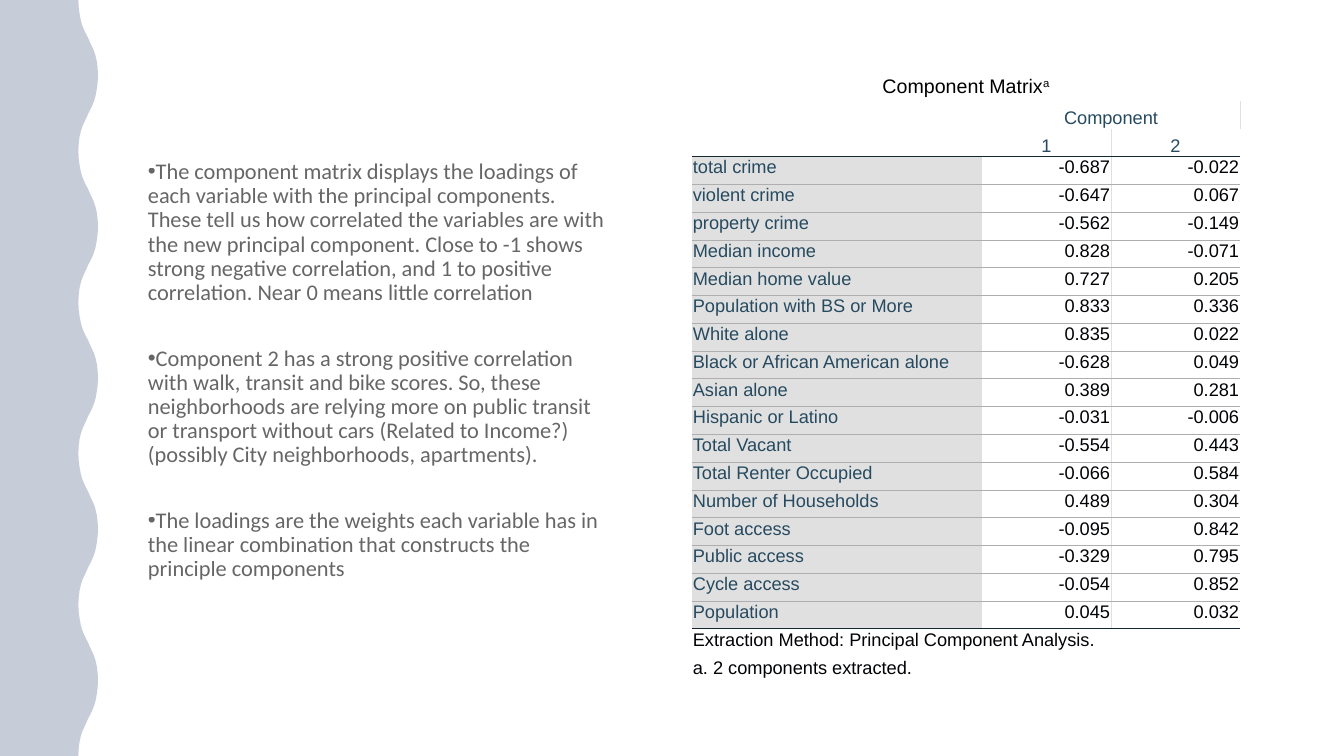
from lxml import etree
from pptx import Presentation
from pptx.dml.color import RGBColor
from pptx.enum.text import MSO_ANCHOR, PP_ALIGN
from pptx.oxml.ns import qn
from pptx.util import Pt

LEFT, CENTER, RIGHT = PP_ALIGN.LEFT, PP_ALIGN.CENTER, PP_ALIGN.RIGHT
TOP, MIDDLE, BOTTOM = MSO_ANCHOR.TOP, MSO_ANCHOR.MIDDLE, MSO_ANCHOR.BOTTOM

NAVY, BLACK, WHITE = "203864", "000000", "FFFFFF"
LABEL_BLUE, VALUE_INK = "264A60", "010205"
RULE_DARK, RULE_GRAY, PALE_GRAY = "152935", "AEAEAE", "E0E0E0"

SLIDE_HEIGHT = 540
HALF_WAVE_HEIGHT = 54
TROUGH_X, CREST_X = 56, 70
# (x, y) from a trough to just before the next crest
HALF_WAVE = [(56, 0), (56.2, 5), (56.9, 10), (57.7, 14.4), (58.7, 18), (59.9, 21), (61.3, 24),
             (62.9, 27), (64.2, 30), (65.6, 33), (67, 36), (68.2, 39.6), (69.2, 44), (69.8, 49)]

FINDINGS = [
    "The component matrix displays the loadings of each variable with the principal components. "
    "These tell us how correlated the variables are with the new principal component. Close to -1 "
    "shows strong negative correlation, and 1 to positive correlation. Near 0 means little correlation",
    "Component 2 has a strong positive correlation with walk, transit and bike scores. So, these "
    "neighborhoods are relying more on public transit or transport without cars (Related to Income?) "
    "(possibly City neighborhoods, apartments).",
    "The loadings are the weights each variable has in the linear combination that constructs the "
    "principle components",
]

LOADINGS = [
    ("total crime", "-0.687", "-0.022"),
    ("violent crime", "-0.647", "0.067"),
    ("property crime", "-0.562", "-0.149"),
    ("Median income", "0.828", "-0.071"),
    ("Median home value", "0.727", "0.205"),
    ("Population with BS or More", "0.833", "0.336"),
    ("White alone", "0.835", "0.022"),
    ("Black or African American alone", "-0.628", "0.049"),
    ("Asian alone", "0.389", "0.281"),
    ("Hispanic or Latino", "-0.031", "-0.006"),
    ("Total Vacant", "-0.554", "0.443"),
    ("Total Renter Occupied", "-0.066", "0.584"),
    ("Number of Households", "0.489", "0.304"),
    ("Foot access", "-0.095", "0.842"),
    ("Public access", "-0.329", "0.795"),
    ("Cycle access", "-0.054", "0.852"),
    ("Population", "0.045", "0.032"),
]
FOOTNOTES = ["Extraction Method: Principal Component Analysis.", "a. 2 components extracted."]
HEADER_ROWS = 3
COLUMN_WIDTHS = [207.2, 92.2, 92.2]
TITLE_HEIGHT, ROW_HEIGHT = 21.7, 19.85


def rgb(hex_color):
    return RGBColor.from_string(hex_color)


def set_opacity(color_parent, percent):
    color = next(color_parent.iter(qn("a:srgbClr")))
    etree.SubElement(color, qn("a:alpha"), val=str(percent * 1000))


class SlideBuilder:
    def __init__(self, slide):
        self.slide = slide
        self.body_font, self.body_size = "Calibri", 16
        self.table_font, self.table_size = "Arial", 13

    def wave_band(self, color, opacity=100):
        """Draw the left band, whose right edge is a wave of mirrored halves."""
        edge = []
        for half in range(SLIDE_HEIGHT // HALF_WAVE_HEIGHT):
            for x, y in HALF_WAVE:
                wave_x = TROUGH_X + CREST_X - x if half % 2 else x
                edge.append((Pt(wave_x), Pt(half * HALF_WAVE_HEIGHT + y)))
        edge += [(Pt(TROUGH_X), Pt(SLIDE_HEIGHT)), (0, Pt(SLIDE_HEIGHT))]
        builder = self.slide.shapes.build_freeform(0, 0)
        builder.add_line_segments(edge, close=True)
        band = builder.convert_to_shape()
        band.shadow.inherit = False
        band.line.fill.background()
        band.fill.solid()
        band.fill.fore_color.rgb = rgb(color)
        if opacity < 100:
            set_opacity(band._element.spPr, opacity)

    def bullets(self, items, left, top, width, height):
        frame = self.slide.shapes.add_textbox(Pt(left), Pt(top), Pt(width), Pt(height)).text_frame
        frame.word_wrap = True
        for index, item in enumerate(items):
            paragraph = frame.paragraphs[0] if index == 0 else frame.add_paragraph()
            paragraph.text = item
            paragraph.line_spacing = 0.9
            paragraph.space_after = Pt(29.7)
            properties = paragraph._p.get_or_add_pPr()
            properties.set("marL", "0")
            properties.set("indent", str(-Pt(18)))
            etree.SubElement(properties, qn("a:buFont"), typeface="Arial")
            etree.SubElement(properties, qn("a:buChar"), char="•")
            self.style(paragraph.font, self.body_font, self.body_size, BLACK)
            set_opacity(properties, 60)

    def style(self, font, name, size, color):
        font.name, font.size = name, Pt(size)
        font.color.rgb = rgb(color)

    def table(self, row_count, left, top):
        height = TITLE_HEIGHT + (row_count - 1) * ROW_HEIGHT
        table = self.slide.shapes.add_table(row_count, len(COLUMN_WIDTHS), Pt(left), Pt(top),
                                            Pt(sum(COLUMN_WIDTHS)), Pt(height)).table
        table.first_row = table.horz_banding = False
        for column, width in zip(table.columns, COLUMN_WIDTHS):
            column.width = Pt(width)
        for index, row in enumerate(table.rows):
            row.height = Pt(ROW_HEIGHT if index else TITLE_HEIGHT)
        return table

    def cell(self, cell, text="", color=VALUE_INK, align=LEFT, anchor=TOP, size=None,
             fill=None, **borders):
        """Fill one cell; borders maps the sides L, R, T and B to colours."""
        cell.margin_left = cell.margin_right = cell.margin_top = Pt(0.75)
        cell.margin_bottom = 0
        cell.vertical_anchor = anchor
        paragraph = cell.text_frame.paragraphs[0]
        paragraph.text = text
        paragraph.alignment = align
        self.style(paragraph.font, self.table_font, size or self.table_size, color)
        properties = cell._tc.get_or_add_tcPr()
        for side in "LRTB":
            line = etree.SubElement(properties, qn(f"a:ln{side}"), w=str(Pt(0.5)))
            if side in borders:
                paint = etree.SubElement(line, qn("a:solidFill"))
                etree.SubElement(paint, qn("a:srgbClr"), val=borders[side])
            else:
                etree.SubElement(line, qn("a:noFill"))
        if fill:
            cell.fill.solid()
            cell.fill.fore_color.rgb = rgb(fill)
        else:
            cell.fill.background()
        return paragraph

    def merged(self, table, first, last, text="", **options):
        """Merge the cells from first to last, given as (row, column)."""
        for row in range(first[0], last[0] + 1):
            for column in range(first[1], last[1] + 1):
                if (row, column) != first:
                    self.cell(table.cell(row, column), **options)
        table.cell(*first).merge(table.cell(*last))
        return self.cell(table.cell(*first), text, **options)

    def component_matrix(self, left, top):
        footnote_row = HEADER_ROWS + len(LOADINGS)
        table = self.table(footnote_row + len(FOOTNOTES), left, top)
        title = self.merged(table, (0, 0), (0, 2), "Component Matrix", color=BLACK,
                            align=CENTER, anchor=MIDDLE, size=14)
        mark = title.add_run()
        mark.text = "a"
        mark._r.get_or_add_rPr().set("baseline", "30000")

        heading = dict(color=LABEL_BLUE, align=CENTER, anchor=BOTTOM)
        self.merged(table, (1, 0), (2, 0), B=RULE_DARK)
        self.merged(table, (1, 1), (1, 2), "Component", R=PALE_GRAY, **heading)
        self.cell(table.cell(2, 1), "1", R=PALE_GRAY, B=RULE_DARK, **heading)
        self.cell(table.cell(2, 2), "2", L=PALE_GRAY, B=RULE_DARK, **heading)

        for row, (variable, first, second) in enumerate(LOADINGS, HEADER_ROWS):
            rules = dict(T=RULE_DARK if row == HEADER_ROWS else RULE_GRAY,
                         B=RULE_DARK if row == footnote_row - 1 else RULE_GRAY)
            self.cell(table.cell(row, 0), variable, LABEL_BLUE, fill=PALE_GRAY, **rules)
            self.cell(table.cell(row, 1), first, align=RIGHT, R=PALE_GRAY, **rules)
            self.cell(table.cell(row, 2), second, align=RIGHT, L=PALE_GRAY, **rules)

        for row, note in enumerate(FOOTNOTES, footnote_row):
            rules = {"T": RULE_DARK} if row == footnote_row else {}
            self.merged(table, (row, 0), (row, 2), note, **rules)


def main():
    presentation = Presentation()
    presentation.slide_width, presentation.slide_height = Pt(960), Pt(SLIDE_HEIGHT)
    builder = SlideBuilder(presentation.slides.add_slide(presentation.slide_layouts[6]))
    builder.wave_band(WHITE)
    builder.wave_band(NAVY, opacity=25)
    builder.bullets(FINDINGS, left=98.6, top=110.9, width=343.4, height=372.2)
    builder.component_matrix(left=494.2, top=50.4)
    presentation.save("out.pptx")


if __name__ == "__main__":
    main()
